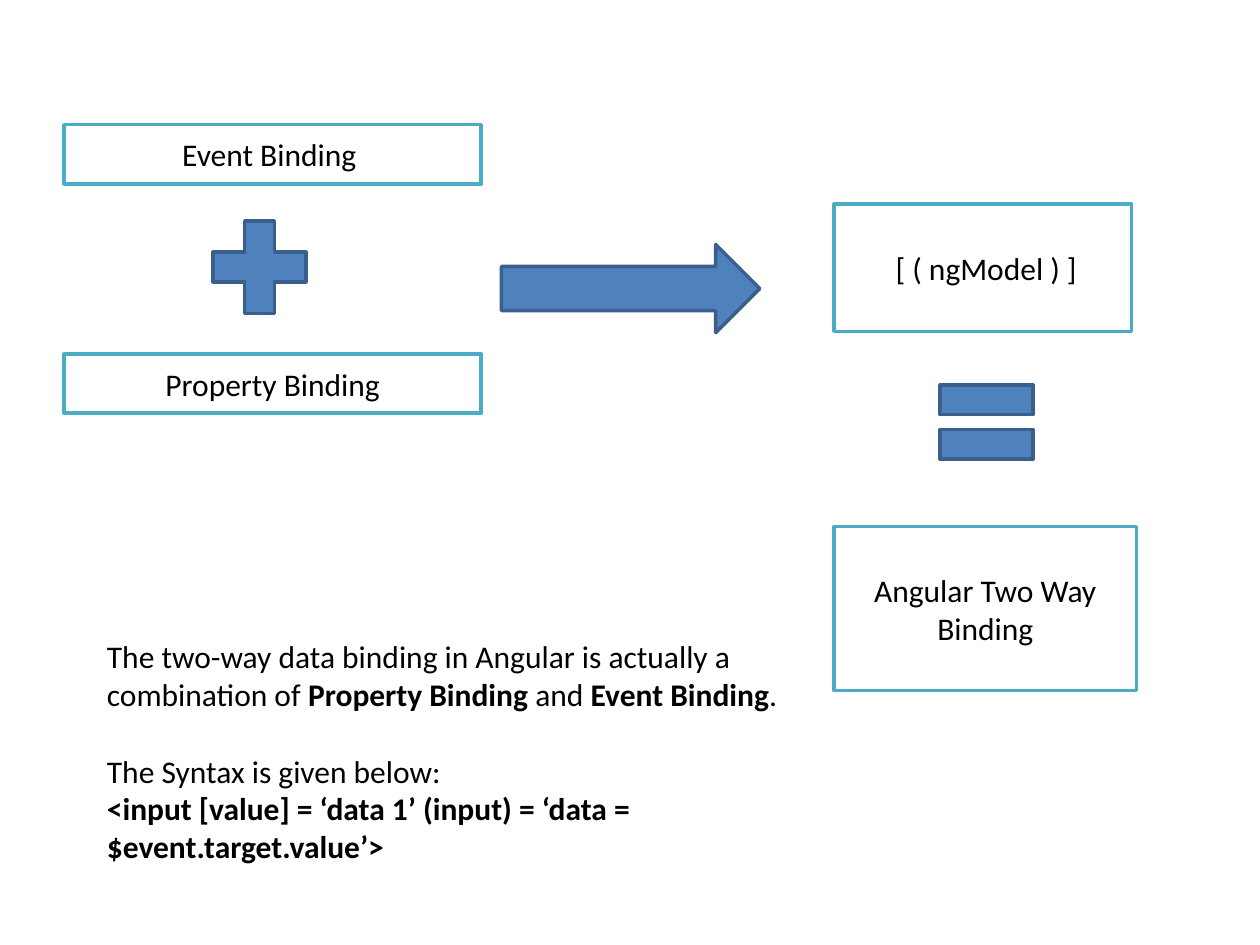
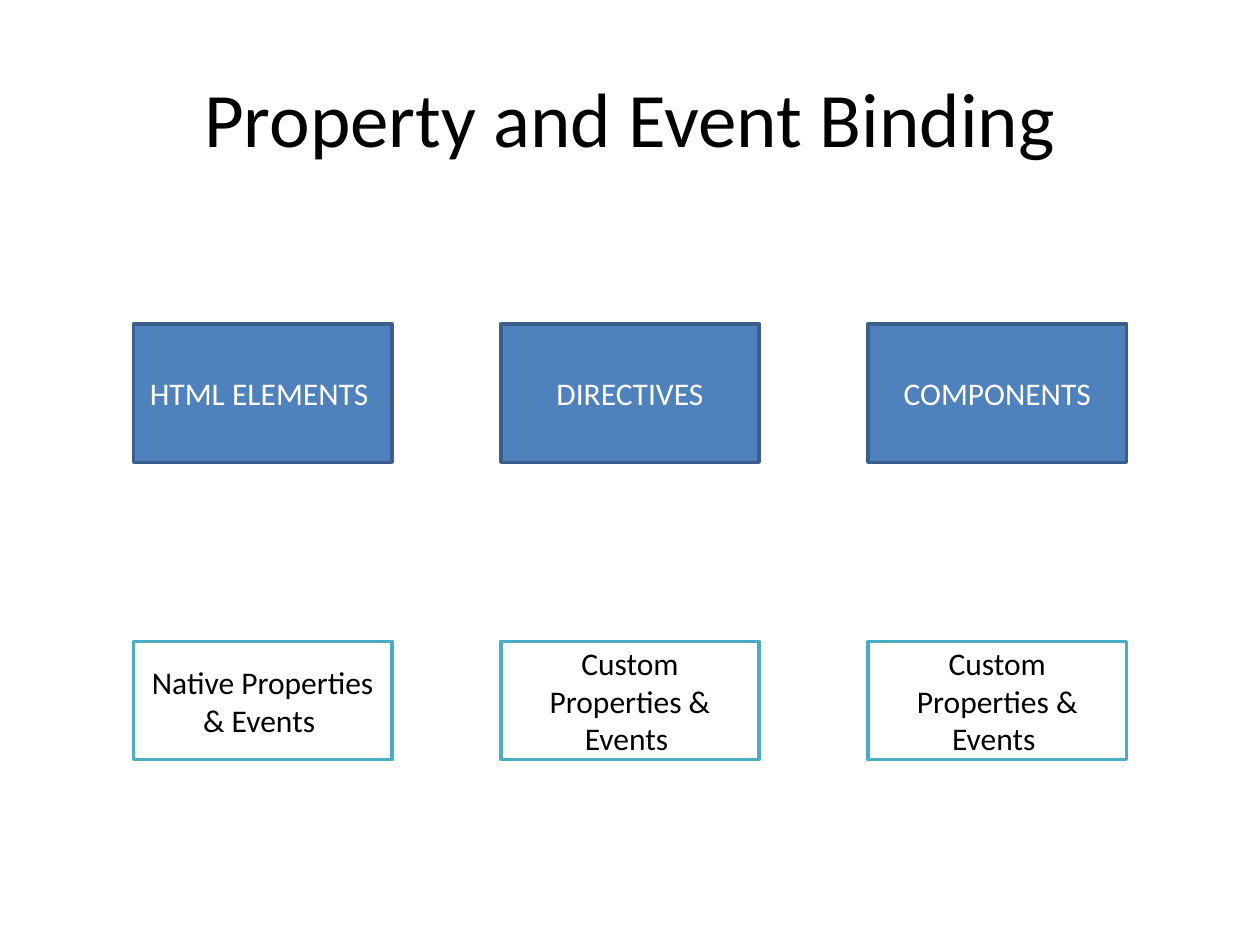
from pptx import Presentation
from pptx import util as u
from pptx.dml.color import RGBColor
from pptx.enum import shapes, text

BLACK = RGBColor(0x00, 0x00, 0x00)
WHITE = RGBColor(0xFF, 0xFF, 0xFF)
BLUE = RGBColor(0x4F, 0x81, 0xBD)
NAVY = RGBColor(0x3A, 0x5F, 0x8C)
TEAL = RGBColor(0x4B, 0xAC, 0xC6)

FONT = "Calibri"
BODY, TITLE = 18, 44
COLUMNS, ROWS = 100, 75
LINE_GAP = 22  # height of one body line, in points

# Fill, outline and text colour of the two looks
SOLID = (BLUE, NAVY, WHITE)
OUTLINED = (WHITE, TEAL, BLACK)


class Deck:
    def __init__(self):
        self.prs = Presentation()
        self.prs.slide_width, self.prs.slide_height = u.Inches(10), u.Inches(7.5)
        self.slide = None

    def new_slide(self):
        self.slide = self.prs.slides.add_slide(self.prs.slide_layouts[6])

    def place(self, column, row, columns, rows):
        """Turn grid cells into left, top, width and height."""
        cell_w = self.prs.slide_width / COLUMNS
        cell_h = self.prs.slide_height / ROWS
        return (u.Emu(round(column * cell_w)), u.Emu(round(row * cell_h)),
                u.Emu(round(columns * cell_w)), u.Emu(round(rows * cell_h)))

    def style(self, paragraph, color=BLACK, size=BODY, align=text.PP_ALIGN.CENTER):
        paragraph.alignment = align
        paragraph.font.name = FONT
        paragraph.font.size = u.Pt(size)
        paragraph.font.color.rgb = color

    def figure(self, kind, cells, look=SOLID):
        fill, outline, _ = look
        shape = self.slide.shapes.add_shape(kind, *self.place(*cells))
        shape.shadow.inherit = False
        shape.fill.solid()
        shape.fill.fore_color.rgb = fill
        shape.line.color.rgb = outline
        shape.line.width = u.Pt(2)
        return shape

    def box(self, label, cells, look=OUTLINED):
        frame = self.figure(shapes.MSO_SHAPE.RECTANGLE, cells, look).text_frame
        frame.word_wrap = True
        frame.vertical_anchor = text.MSO_ANCHOR.MIDDLE
        frame.text = label
        self.style(frame.paragraphs[0], look[2])

    def text_box(self, cells):
        frame = self.slide.shapes.add_textbox(*self.place(*cells)).text_frame
        frame.word_wrap = True
        return frame

    def title(self, wording):
        frame = self.text_box((5, 3, 90, 12.5))
        frame.vertical_anchor = text.MSO_ANCHOR.MIDDLE
        frame.text = wording
        self.style(frame.paragraphs[0], size=TITLE)

    def prose(self, paragraphs, cells):
        """Each paragraph is a gap before it and a list of (wording, bold) runs."""
        frame = self.text_box(cells)
        for i, (gap, runs) in enumerate(paragraphs):
            paragraph = frame.add_paragraph() if i else frame.paragraphs[0]
            self.style(paragraph, align=text.PP_ALIGN.LEFT)
            paragraph.space_before = u.Pt(gap)
            for wording, bold in runs:
                run = paragraph.add_run()
                run.text = wording
                run.font.bold = bold


def two_way_binding(deck):
    deck.new_slide()

    # The two bindings, their result and its name
    for label, row in (("Event Binding ", 9.9), ("Property Binding", 28.1)):
        deck.box(label, (5.1, row, 33.1, 4.7))
    deck.box(" [ ( ngModel ) ]", (66.2, 16.2, 23.6, 10.1))
    deck.box("Angular Two Way Binding", (66.2, 41.8, 24, 13))

    # Signs between the boxes
    deck.figure(shapes.MSO_SHAPE.MATH_PLUS, (15.6, 16.2, 10, 10))
    deck.figure(shapes.MSO_SHAPE.RIGHT_ARROW, (39.8, 19.4, 20.5, 7))
    deck.figure(shapes.MSO_SHAPE.MATH_EQUAL, (73.3, 28.5, 10, 10))

    # Explanation and syntax
    deck.prose([
        (0, [("The two-way data binding in Angular is actually a combination of ", False),
             ("Property Binding", True), (" and ", False),
             ("Event Binding", True), (".", False)]),
        (LINE_GAP, [("The Syntax is given below:", False)]),
        (0, [("<input [value] = ‘data 1’ (input) = ‘data = $event.target.value’>", True)]),
    ], (7.5, 50.1, 55.9, 19.2))


def property_and_event_binding(deck):
    deck.new_slide()
    deck.title("Property and Event Binding")

    # One column per kind of target, spread evenly around the centre
    targets = (("HTML ELEMENTS ", "Native Properties & Events "),
               ("DIRECTIVES", "Custom Properties & Events "),
               ("COMPONENTS", "Custom Properties & Events "))
    width, step = 20.5, 29.15
    first = (COLUMNS - width) / 2 - step
    for i, (target, bindings) in enumerate(targets):
        column = first + i * step
        deck.box(target, (column, 25.7, width, 11), SOLID)
        deck.box(bindings, (column, 50.9, width, 9.4))


def main():
    deck = Deck()
    two_way_binding(deck)
    property_and_event_binding(deck)
    deck.prs.save("out.pptx")


if __name__ == "__main__":
    main()
